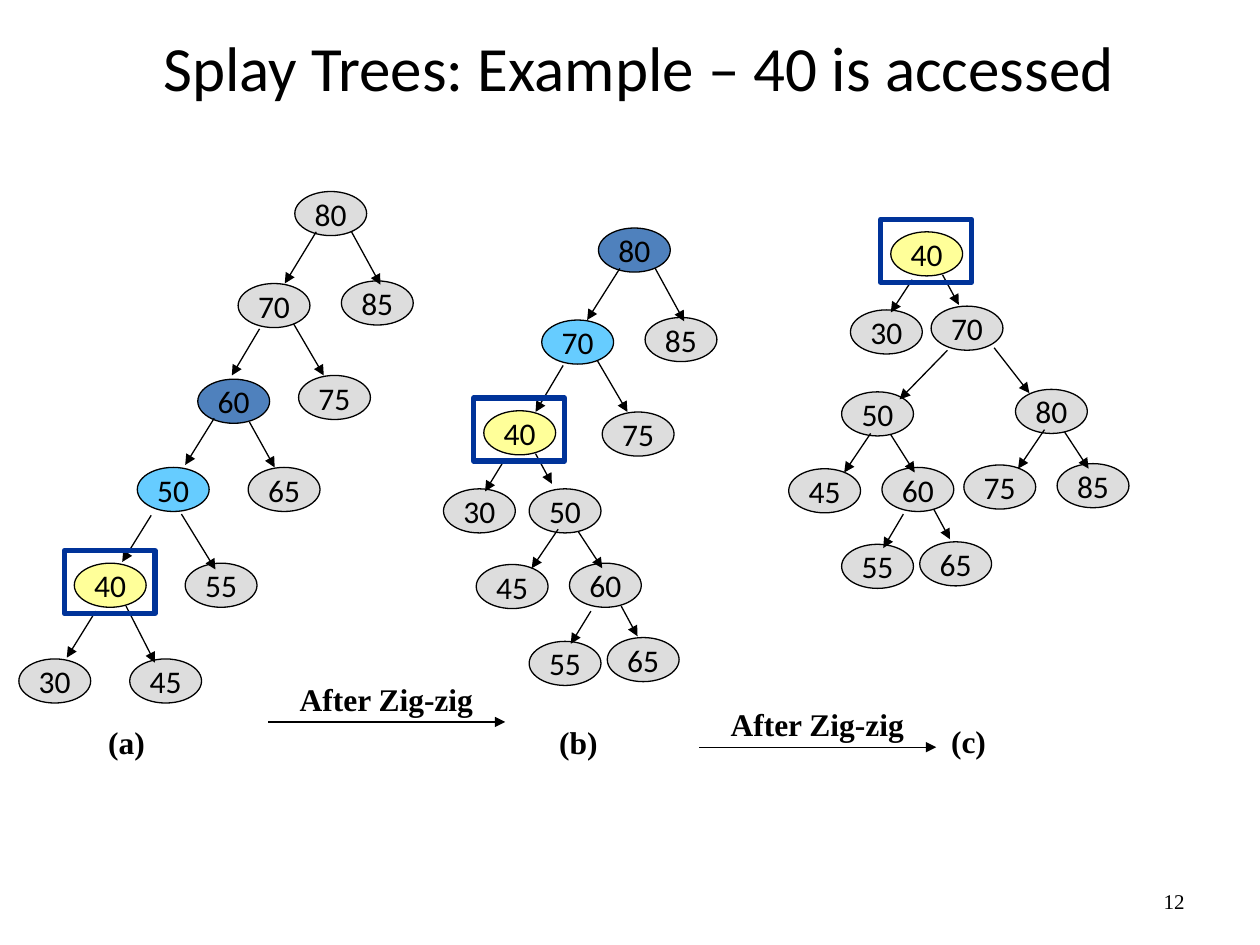
from lxml import etree
from pptx import Presentation
from pptx import util as u
from pptx.dml.color import RGBColor
from pptx.enum import shapes, text
from pptx.oxml.ns import qn

PX = 9144  # EMU per px, 100 px to the inch
COLORS = {
    "ink": "000000",
    "plain": "DDDDDD",
    "grandparent": "4F81BD",
    "parent": "66CCFF",
    "accessed": "FFFF99",
    "ring": "003399",
}
SANS, SERIF = "Calibri", "Times New Roman"
NODE_W, NODE_H = 57, 35
RING_W, RING_H = 72, 50

# Each node: key, left, top, arrow from its parent (x1, y1, x2, y2), inside the tree's box
TREE_A = [
    (80, 219, 0, None),
    (70, 174, 73, (236, 32, 211, 73)),
    (85, 256, 71, (264, 32, 287, 74)),
    (60, 142, 149, (191, 109, 169, 146)),
    (75, 222, 146, (218, 105, 242, 146)),
    (50, 94, 219, (155, 180, 132, 217)),
    (65, 182, 219, (183, 183, 203, 219)),
    (40, 44, 295, (105, 257, 82, 294)),
    (55, 132, 295, (129, 256, 156, 300)),
    (30, 0, 371, (61, 333, 38, 370)),
    (45, 88, 371, (85, 329, 108, 374)),
]
TREE_B = [
    (80, 123, 0, None),
    (70, 78, 73, (140, 32, 114, 73)),
    (85, 160, 71, (168, 32, 191, 74)),
    (40, 32, 145, (95, 109, 73, 146)),
    (75, 126, 146, (122, 105, 146, 146)),
    (30, 0, 207, (49, 183, 33, 209)),
    (50, 68, 207, (73, 179, 86, 203)),
    (45, 26, 267, (91, 239, 70, 270)),
    (60, 100, 266, (107, 241, 126, 270)),
    (55, 68, 328, (117, 304, 101, 330)),
    (65, 130, 325, (141, 300, 154, 324)),
]
TREE_C = [
    (40, 81, 10, None),
    (30, 49, 72, (98, 48, 81, 74)),
    (70, 113, 69, (122, 44, 135, 68)),
    (50, 42, 137, (126, 104, 88, 143)),
    (80, 180, 135, (163, 102, 191, 138)),
    (45, 0, 198, (65, 170, 44, 201)),
    (60, 74, 197, (81, 171, 100, 201)),
    (75, 139, 195, (203, 167, 182, 198)),
    (85, 213, 194, (219, 169, 238, 198)),
    (55, 42, 258, (91, 234, 75, 261)),
    (65, 104, 256, (115, 230, 128, 254)),
]


def px(*lengths):
    return [u.Emu(length * PX) for length in lengths]


def color(name):
    return RGBColor.from_string(COLORS[name])


def write(shape, words, size, font, align, bold=False, wrap=False,
          anchor=text.MSO_ANCHOR.MIDDLE):
    frame = shape.text_frame
    frame.word_wrap = wrap
    frame.vertical_anchor = anchor
    paragraph = frame.paragraphs[0]
    paragraph.alignment = align
    run = paragraph.add_run()
    run.text = words
    run.font.size = u.Pt(size)
    run.font.name = font
    run.font.bold = bold
    run.font.color.rgb = color("ink")


def add_outlined(slide, kind, box, line, width, fill=None):
    shape = slide.shapes.add_shape(kind, *px(*box))
    shape.shadow.inherit = False
    if fill:
        shape.fill.solid()
        shape.fill.fore_color.rgb = color(fill)
    else:
        shape.fill.background()
    shape.line.color.rgb = color(line)
    shape.line.width = u.Pt(width)
    return shape


def add_arrow(slide, x1, y1, x2, y2):
    arrow = slide.shapes.add_connector(shapes.MSO_CONNECTOR.STRAIGHT, *px(x1, y1, x2, y2))
    arrow.line.color.rgb = color("ink")
    arrow.line.width = u.Pt(0.75)
    etree.SubElement(arrow.line._get_or_add_ln(), qn("a:tailEnd"), type="triangle")
    etree.SubElement(arrow._element.spPr, qn("a:effectLst"))


def add_caption(slide, box, words):
    caption = slide.shapes.add_textbox(*px(*box))
    write(caption, words, 18, SERIF, text.PP_ALIGN.LEFT, bold=True,
          anchor=text.MSO_ANCHOR.TOP)


def add_tree(slide, left, top, nodes, fills):
    """Draw a tree and frame the accessed node."""
    for key, x, y, link in nodes:
        fill = fills.get(key, "plain")
        node = add_outlined(slide, shapes.MSO_SHAPE.OVAL,
                            (left + x, top + y, NODE_W, NODE_H), "ink", 0.75, fill)
        write(node, str(key), 18, SANS, text.PP_ALIGN.CENTER)
        if fill == "accessed":
            ring_box = (left + x - 8, top + y - 10, RING_W, RING_H)
    for *_, link in nodes:
        if link:
            x1, y1, x2, y2 = link
            add_arrow(slide, left + x1, top + y1, left + x2, top + y2)
    add_outlined(slide, shapes.MSO_SHAPE.RECTANGLE, ring_box, "ring", 3)


def add_step(slide, left, top):
    """Draw a labelled arrow to the next tree."""
    add_caption(slide, (left + 15, top, 168, 40), "After Zig-zig")
    add_arrow(slide, left, top + 38, left + 188, top + 38)


def add_title(slide, box, words):
    title = slide.shapes.title
    title.left, title.top, title.width, title.height = px(*box)
    write(title, words, 36, SANS, text.PP_ALIGN.CENTER, wrap=True)


def add_page_number(slide, box, number):
    shape = slide.shapes.add_textbox(*px(*box))
    write(shape, number, 12, SERIF, text.PP_ALIGN.RIGHT, wrap=True)


def main():
    presentation = Presentation()
    presentation.slide_width, presentation.slide_height = px(1000, 750)
    slide = presentation.slides.add_slide(presentation.slide_layouts[5])
    add_title(slide, (30, 15, 954, 76), "Splay Trees: Example – 40 is accessed")

    # Trees before, between and after the rotations
    rotated = {80: "grandparent", 70: "parent", 40: "accessed"}
    add_tree(slide, 15, 152, TREE_A, {60: "grandparent", 50: "parent", 40: "accessed"})
    add_tree(slide, 352, 181, TREE_B, rotated)
    add_tree(slide, 626, 174, TREE_C, {40: "accessed"})
    for left, top, words in ((76, 569, "(a)"), (434, 569, "(b)"), (745, 568, "(c)")):
        add_caption(slide, (left, top, 60, 40), words)

    # Steps between the trees
    add_step(slide, 213, 535)
    add_step(slide, 555, 555)

    add_page_number(slide, (717, 695, 233, 40), "12")
    presentation.save("out.pptx")


if __name__ == "__main__":
    main()
